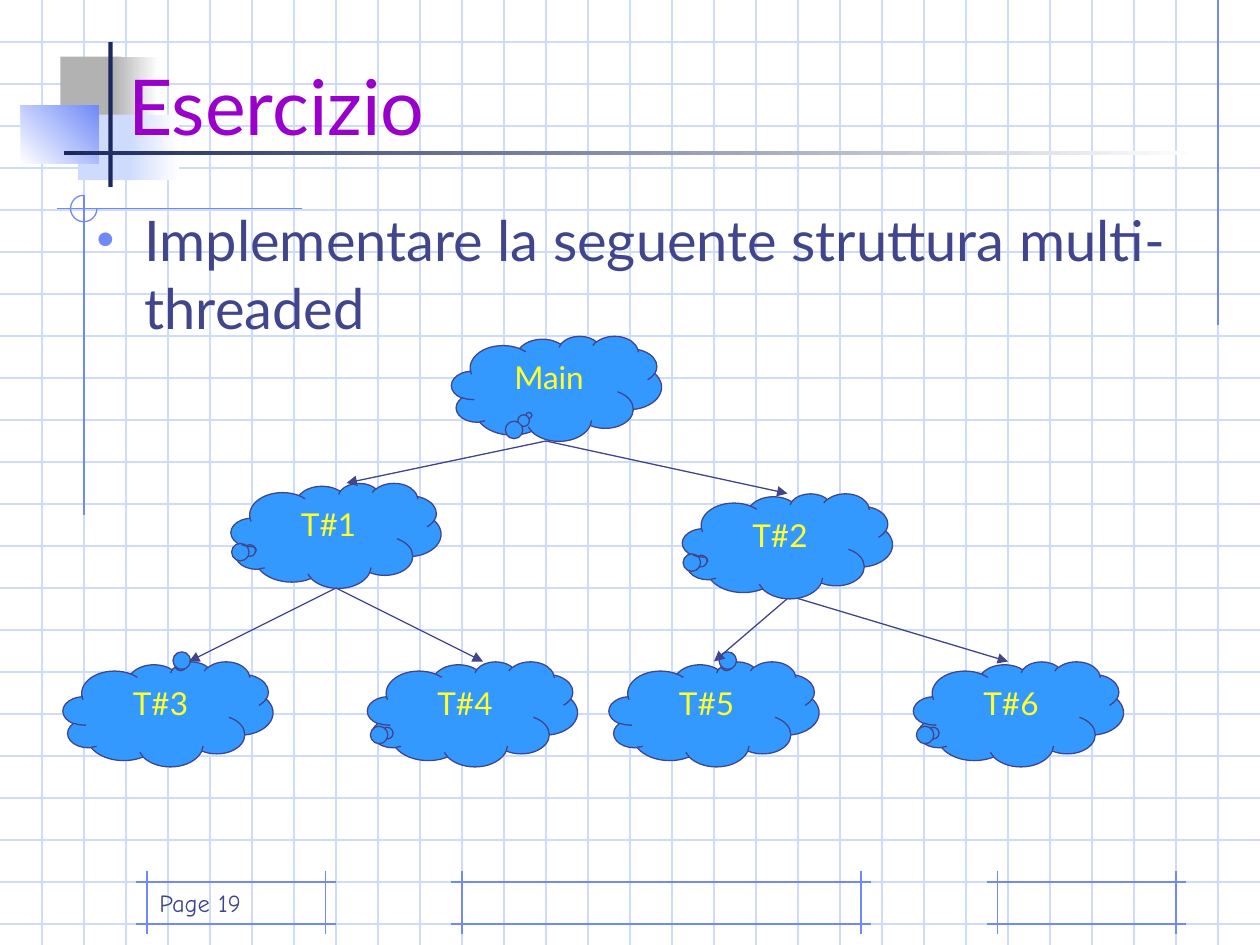
"""Builds the exercise slide: a tree of threads drawn as clouds on squared paper."""
from dataclasses import dataclass
from typing import Optional

from lxml.etree import SubElement
from pptx import Presentation
from pptx.dml.color import RGBColor
from pptx.enum.shapes import MSO_CONNECTOR, MSO_SHAPE
from pptx.enum.text import MSO_ANCHOR, MSO_AUTO_SIZE, PP_ALIGN
from pptx.oxml.ns import qn
from pptx.util import Inches, Pt

COLUMNS, ROWS = 30, 22.5
CLOUD_WIDTH, CLOUD_HEIGHT = 5, 2.5
FRAME_TOP, FRAME_BOTTOM, OVERHANG = 21, 22, 0.25

WHITE = RGBColor(0xFF, 0xFF, 0xFF)
GREY = RGBColor(0xB2, 0xB2, 0xB2)
PALE_BLUE = RGBColor(0xCF, 0xDB, 0xFD)
MID_BLUE = RGBColor(0x6F, 0x89, 0xF7)
NAVY = RGBColor(0x1B, 0x28, 0x5F)
INK = RGBColor(0x40, 0x45, 0x8C)
PURPLE = RGBColor(0x99, 0x00, 0xCC)
SKY = RGBColor(0x33, 0x99, 0xFF)
YELLOW = RGBColor(0xFF, 0xFF, 0x2F)


@dataclass(frozen=True)
class Block:
    left: float
    top: float
    width: float
    height: float
    color: RGBColor
    fade_to: Optional[RGBColor] = None
    angle: float = 0


@dataclass(frozen=True)
class Cloud:
    label: str
    column: float
    row: float
    tail: tuple[float, float]


@dataclass(frozen=True)
class Line:
    start: tuple[float, float]
    end: tuple[float, float]


BLOCKS = [
    Block(1.44, 1.35, 1.44, 1.56, GREY),
    Block(2.7, 1.35, 1.08, 1.56, GREY, WHITE),
    Block(1.86, 2.73, 1.38, 1.56, PALE_BLUE),
    Block(3.06, 2.73, 1.2, 1.56, PALE_BLUE, WHITE),
    Block(0.5, 2.5, 1.85, 1.4, WHITE, MID_BLUE, 45),
    Block(2.58, 1, 0.1, 3.45, NAVY),
    Block(1.53, 3.6, 27, 0.1, NAVY, WHITE),
]
FOOTER_SPANS = [(11, 20.5), (23.75, 28), (3.5, 7.75)]
MARGIN_LINES = [
    Line((29, 0), (29, 7.75)),
    Line((7.2, 4.97), (1.35, 4.97)),
    Line((2, 4.65), (2, 12.27)),
]
CLOUDS = [
    Cloud("Main", 10.75, 8, (-0.131, 0.256)),
    Cloud("T#1", 5.5, 11.5, (-0.394, 0.137)),
    Cloud("T#3", 1.5, 15.75, (0.062, -0.481)),
    Cloud("T#2", 16.25, 11.75, (-0.394, 0.137)),
    Cloud("T#4", 8.75, 15.75, (-0.394, 0.177)),
    Cloud("T#5", 14.5, 15.75, (0.062, -0.481)),
    Cloud("T#6", 21.75, 15.75, (-0.394, 0.177)),
]
ARROWS = [
    Line((13, 10.5), (8.25, 11.5)),
    Line((13, 10.5), (18.75, 11.75)),
    Line((8, 14), (4.5, 15.75)),
    Line((8, 14), (11.5, 15.75)),
    Line((18.75, 14.25), (17, 15.75)),
    Line((19, 14.25), (24, 15.75)),
]


def cells(*counts: float) -> list[int]:
    """Convert grid cells to slide lengths."""
    return [Inches(count / 3) for count in counts]


def draw_line(slide, line: Line, color: RGBColor, arrow: bool = False) -> None:
    """Draw a thin straight line, with an arrowhead at its end if asked."""
    connector = slide.shapes.add_connector(
        MSO_CONNECTOR.STRAIGHT, *cells(*line.start, *line.end))
    connector.line.color.rgb = color
    connector.line.width = Pt(0.75)
    properties = connector._element.spPr
    if arrow:
        SubElement(properties.find(qn("a:ln")), qn("a:tailEnd"), type="triangle")
    SubElement(properties, qn("a:effectLst"))


def draw_block(slide, block: Block) -> None:
    """Draw a borderless rectangle, plain or fading to a second colour."""
    rectangle = slide.shapes.add_shape(
        MSO_SHAPE.RECTANGLE,
        *cells(block.left, block.top, block.width, block.height))
    rectangle.shadow.inherit = False
    rectangle.line.fill.background()
    if block.fade_to is None:
        rectangle.fill.solid()
        rectangle.fill.fore_color.rgb = block.color
        return
    rectangle.fill.gradient()
    rectangle.fill.gradient_angle = block.angle
    for stop, color in zip(rectangle.fill.gradient_stops, (block.color, block.fade_to)):
        stop.color.rgb = color


def write(shape, text: str, *, size: float, color: RGBColor, font: str = "Lato",
          align=PP_ALIGN.LEFT, anchor=MSO_ANCHOR.TOP):
    """Write one formatted paragraph in a shape and return it."""
    frame = shape.text_frame
    frame.word_wrap = True
    frame.auto_size = MSO_AUTO_SIZE.NONE
    frame.vertical_anchor = anchor
    paragraph = frame.paragraphs[0]
    paragraph.alignment = align
    paragraph.space_before = Pt(0)
    run = paragraph.add_run()
    run.text = text
    run.font.name = font
    run.font.size = Pt(size)
    run.font.color.rgb = color
    return paragraph


def add_bullet(paragraph) -> None:
    """Give a paragraph a hanging round bullet."""
    properties = paragraph._p.get_or_add_pPr()
    properties.set("marL", str(Inches(0.38)))
    properties.set("indent", str(-Inches(0.38)))
    color = SubElement(properties, qn("a:buClr"))
    SubElement(color, qn("a:srgbClr"), val=str(MID_BLUE))
    SubElement(properties, qn("a:buSzPct"), val="90000")
    SubElement(properties, qn("a:buChar"), char="•")


def place(slide, placeholder, *box: float) -> None:
    """Move a placeholder to a grid box in front of what is already drawn."""
    placeholder.left, placeholder.top, placeholder.width, placeholder.height = cells(*box)
    slide.shapes._spTree.append(placeholder._element)


def draw_cloud(slide, cloud: Cloud) -> None:
    """Draw a labelled thread cloud."""
    callout = slide.shapes.add_shape(
        MSO_SHAPE.CLOUD_CALLOUT,
        *cells(cloud.column, cloud.row, CLOUD_WIDTH, CLOUD_HEIGHT))
    callout.shadow.inherit = False
    callout.adjustments[0], callout.adjustments[1] = cloud.tail
    callout.fill.solid()
    callout.fill.fore_color.rgb = SKY
    callout.line.color.rgb = INK
    callout.line.width = Pt(0.75)
    write(callout, cloud.label, size=18, color=YELLOW, align=PP_ALIGN.CENTER)


def draw_background(slide) -> None:
    """Draw the squared paper, footer frames, margin marks and title ornament."""
    for row in range(1, int(ROWS) + 1):
        draw_line(slide, Line((0, row), (COLUMNS, row)), PALE_BLUE)
    for column in range(1, COLUMNS):
        draw_line(slide, Line((column, 0), (column, ROWS)), PALE_BLUE)
    for left, right in FOOTER_SPANS:
        for row in (FRAME_TOP, FRAME_BOTTOM):
            draw_line(slide, Line((left - OVERHANG, row), (right + OVERHANG, row)), MID_BLUE)
        for column in (left, right):
            draw_line(slide, Line((column, FRAME_TOP - OVERHANG),
                                  (column, FRAME_BOTTOM + OVERHANG)), MID_BLUE)
    for line in MARGIN_LINES:
        draw_line(slide, line, MID_BLUE)
    ring = slide.shapes.add_shape(MSO_SHAPE.ARC, *cells(1.68, 4.65, 0.63, 0.63))
    ring.shadow.inherit = False
    ring.adjustments[0], ring.adjustments[1] = 0, 162
    ring.fill.background()
    ring.line.color.rgb = MID_BLUE
    ring.line.width = Pt(0.75)
    for block in BLOCKS:
        draw_block(slide, block)


def main() -> None:
    """Build and save the slide."""
    deck = Presentation()
    deck.slide_width, deck.slide_height = cells(COLUMNS, ROWS)
    slide = deck.slides.add_slide(deck.slide_layouts[1])
    title, task = slide.placeholders
    draw_background(slide)
    page = slide.shapes.add_textbox(*cells(3.5, 20.5, 6.25, 1.5))
    write(page, "Page 19", size=14, color=INK, font="Comic Neue", anchor=MSO_ANCHOR.BOTTOM)
    place(slide, title, 2.75, 1, 25.5, 2.75)
    write(title, "Esercizio", size=44, color=PURPLE, anchor=MSO_ANCHOR.BOTTOM)
    place(slide, task, 2, 4.75, 26.5, 13.5)
    add_bullet(write(task, "Implementare la seguente struttura multi-threaded",
                     size=32, color=INK))
    for cloud in CLOUDS:
        draw_cloud(slide, cloud)
    for arrow in ARROWS:
        draw_line(slide, arrow, INK, arrow=True)
    deck.save("out.pptx")


if __name__ == "__main__":
    main()
